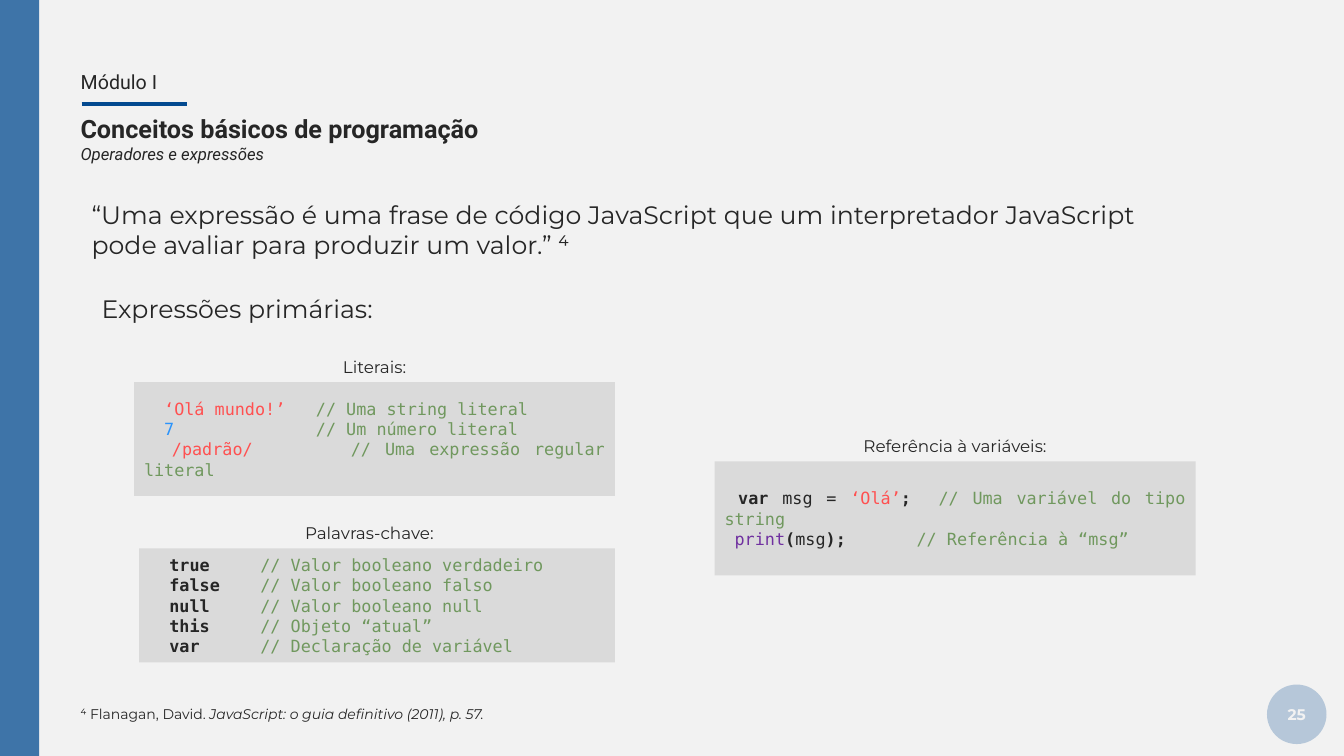
import pptx
import pptx.util
import pptx.dml.color
import pptx.enum.shapes
import pptx.enum.text
import pptx.oxml.ns
from lxml import etree

Cm = pptx.util.Cm
Pt = pptx.util.Pt
SHAPES = pptx.enum.shapes.MSO_SHAPE
ALIGN = pptx.enum.text.PP_ALIGN
ANCHOR = pptx.enum.text.MSO_ANCHOR
FIT = pptx.enum.text.MSO_AUTO_SIZE

# Content
INK, PAPER, BLUE, PANEL = "262626", "F2F2F2", "034A90", "DADADA"
GREEN, RED, NUMBER, PURPLE = "70985E", "FF5050", "2A93FB", "7030A0"

MODULE = "Módulo I"
TOPIC = "Conceitos básicos de programação"
SUBTOPIC = "Operadores e expressões"
QUOTE = ("“Uma expressão é uma frase de código JavaScript que um interpretador "
         "JavaScript pode avaliar para produzir um valor.” ⁴")
SECTION = "Expressões primárias:"
SOURCE = [("⁴ Flanagan, David. ", {}),
          ("JavaScript: o guia definitivo (2011), p. 57.", {"italic": True})]
PAGE_NUMBER = "25"

KEYWORDS = [
    ("true", "Valor booleano verdadeiro"),
    ("false", "Valor booleano falso"),
    ("null", "Valor booleano null"),
    ("this", "Objeto “atual”"),
    ("var", "Declaração de variável"),
]
BOLD = {"bold": True}


def tint(color):
    return {"color": color}


# Each line of code is a list of (text, style) spans
LITERAL_LINES = [
    [("  ‘Olá mundo!’   ", tint(RED)), ("// Uma string literal", tint(GREEN))],
    [("  7              ", tint(NUMBER)), ("// Um número literal", tint(GREEN))],
    [("  /padrão/       ", tint(RED)), ("// Uma expressão regular literal", tint(GREEN))],
]
KEYWORD_LINES = [[(f"  {word:<9}", BOLD), (f"// {meaning}", tint(GREEN))]
                 for word, meaning in KEYWORDS]
VARIABLE_LINES = [
    [(" var ", BOLD), ("msg = ", {}), ("‘Olá’", tint(RED)), (";  ", BOLD),
     ("// Uma variável do tipo string", tint(GREEN))],
    [(" print", tint(PURPLE)), ("(", BOLD), ("msg", {}), (");", BOLD),
     ("       // Referência à “msg”", tint(GREEN))],
]

# Label, label left, panel left, panel top, panel width, code (cm)
EXAMPLES = [
    ("Literais:", 3.38, 3.38, 9.63, 12.12, LITERAL_LINES),
    ("Palavras-chave:", 3.25, 3.51, 13.82, 11.99, KEYWORD_LINES),
    ("Referência à variáveis:", 18.01, 18.01, 11.63, 12.12, VARIABLE_LINES),
]
LABEL_WIDTH, LABEL_HEIGHT, LABEL_RISE, PANEL_HEIGHT = 12.12, 0.76, 0.77, 2.87


# Helpers
def rgb(value):
    return pptx.dml.color.RGBColor.from_string(value)


def write(shape, lines, font, size, align=ALIGN.LEFT, anchor=ANCHOR.TOP,
          spacing=None, fit=FIT.NONE):
    frame = shape.text_frame
    frame.word_wrap = True
    frame.auto_size = fit
    frame.vertical_anchor = anchor
    for index, line in enumerate(lines):
        para = frame.add_paragraph() if index else frame.paragraphs[0]
        para.alignment = align
        if spacing:
            para.line_spacing = spacing
        for text, style in line:
            span = para.add_run()
            span.text = text
            span.font.name = font
            span.font.size = Pt(size)
            span.font.bold = style.get("bold", False)
            span.font.italic = style.get("italic", False)
            span.font.color.rgb = rgb(style.get("color", INK))


def add_text(page, place, spans, font, size, **options):
    box = page.shapes.add_textbox(*map(Cm, place))
    write(box, [spans], font, size, **options)


def add_block(page, kind, place, color, opacity=100):
    block = page.shapes.add_shape(kind, *map(Cm, place))
    block.shadow.inherit = False
    block.line.fill.background()
    block.fill.solid()
    block.fill.fore_color.rgb = rgb(color)
    if opacity < 100:
        qn = pptx.oxml.ns.qn
        tone = block.fill._xPr.find(qn("a:solidFill")).find(qn("a:srgbClr"))
        etree.SubElement(tone, qn("a:alpha")).set("val", str(opacity * 1000))
    return block


def main():
    deck = pptx.Presentation()
    deck.slide_width, deck.slide_height = Cm(33.87), Cm(19.05)
    page = deck.slides.add_slide(deck.slide_layouts.get_by_name("Title Only"))
    page.background.fill.solid()
    page.background.fill.fore_color.rgb = rgb(PAPER)

    # Side bar, heading and rule
    add_block(page, SHAPES.RECTANGLE, (0, 0, 0.99, 19.05), BLUE, 75)
    title = page.shapes.title
    title.left, title.top, title.width, title.height = map(Cm, (1.78, 1.55, 2.95, 1.07))
    heading = {"anchor": ANCHOR.MIDDLE, "spacing": 0.9}
    write(title, [[(MODULE, {})]], "Roboto", 14, **heading)
    rule = page.shapes.add_connector(pptx.enum.shapes.MSO_CONNECTOR.STRAIGHT,
                                     Cm(2.06), Cm(2.62), Cm(4.72), Cm(2.62))
    rule.line.color.rgb = rgb(BLUE)
    rule.line.width = Pt(3)
    etree.SubElement(rule._element.spPr, pptx.oxml.ns.qn("a:effectLst"))
    add_text(page, (1.78, 2.74, 15.16, 1.07), [(TOPIC, BOLD)], "Roboto", 18, **heading)
    add_text(page, (1.78, 3.38, 15.16, 1.07), [(SUBTOPIC, {"italic": True})],
             "Roboto", 12, **heading)

    # Quote and section line
    add_text(page, (2.06, 4.9, 26.8, 1.8), [(QUOTE, {})], "Montserrat", 18,
             align=ALIGN.JUSTIFY, fit=FIT.SHAPE_TO_FIT_TEXT)
    add_text(page, (2.31, 7.26, 7.77, 1.02), [(SECTION, {})], "Montserrat", 18,
             fit=FIT.SHAPE_TO_FIT_TEXT)

    # Code panels with their labels
    for label, label_left, left, top, width, lines in EXAMPLES:
        panel = add_block(page, SHAPES.RECTANGLE, (left, top, width, PANEL_HEIGHT), PANEL)
        write(panel, lines, "DejaVu Sans Mono", 12, ALIGN.JUSTIFY, ANCHOR.MIDDLE)
        add_text(page, (label_left, top - LABEL_RISE, LABEL_WIDTH, LABEL_HEIGHT),
                 [(label, {})], "Montserrat", 12, align=ALIGN.CENTER,
                 fit=FIT.SHAPE_TO_FIT_TEXT)

    # Footnote and page number
    add_text(page, (1.78, 17.65, 26.8, 0.69), SOURCE, "Montserrat", 10,
             align=ALIGN.JUSTIFY, fit=FIT.SHAPE_TO_FIT_TEXT)
    badge = add_block(page, SHAPES.OVAL, (31.93, 17.25, 1.5, 1.5), BLUE, 25)
    write(badge, [[(PAGE_NUMBER, {"bold": True, "color": PAPER})]], "Montserrat", 11,
          ALIGN.CENTER, ANCHOR.MIDDLE)

    deck.save("out.pptx")


if __name__ == "__main__":
    main()
